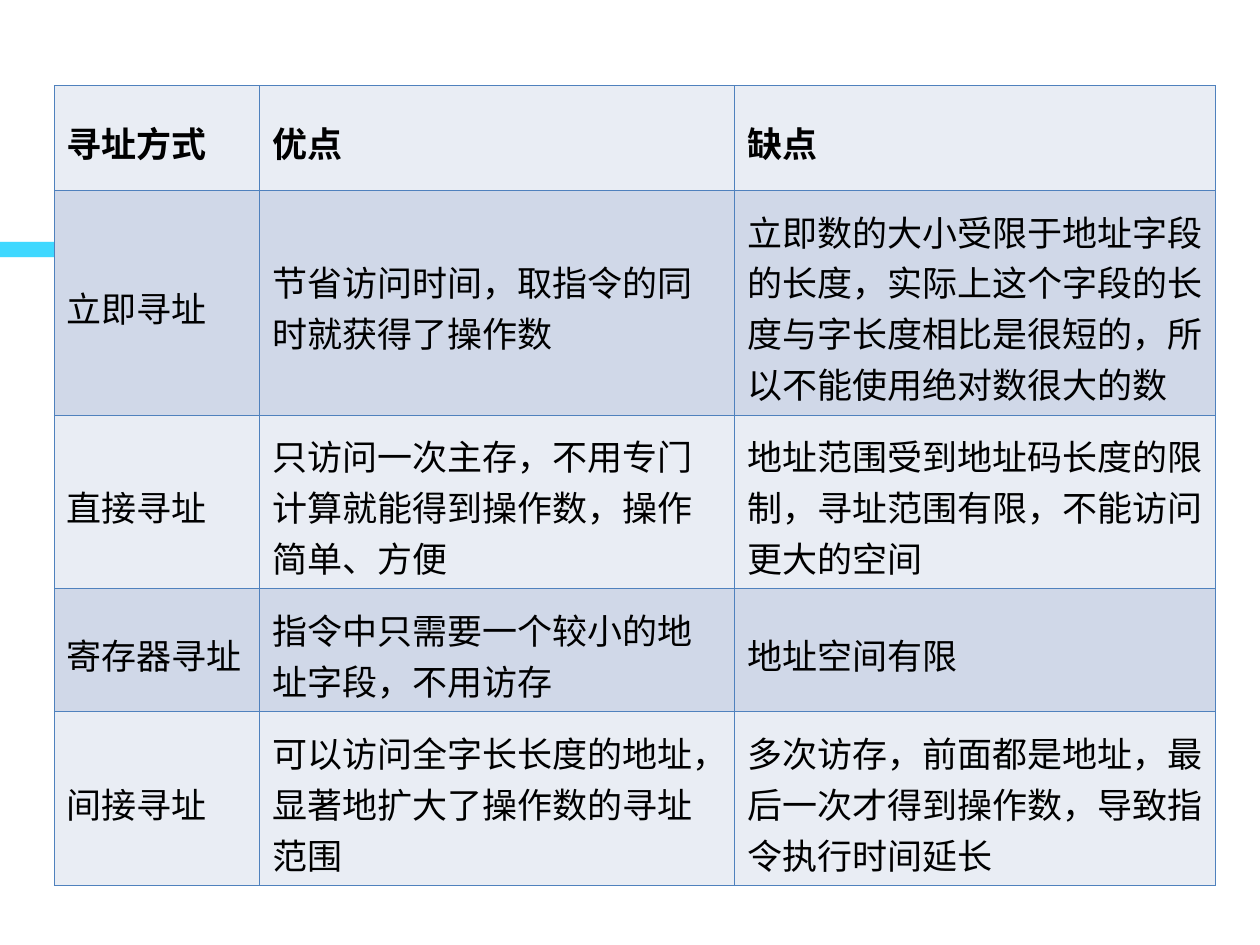
import dataclasses

import lxml.etree
import pptx
import pptx.dml.color
import pptx.enum.shapes
import pptx.enum.text
import pptx.oxml.ns
import pptx.util

Inches = pptx.util.Inches
qn = pptx.oxml.ns.qn


@dataclasses.dataclass(frozen=True)
class Theme:
    font: str = "Calibri"
    text_size: float = 20
    text: str = "000000"
    accent: str = "00CCFF"
    accent_opacity: int = 50
    bands: tuple = ("E9EDF4", "D0D8E8")
    border: str = "4F81BD"
    border_width: float = 0.45


THEME = Theme()

COLUMN_WIDTHS = (1.63, 3.77, 3.82)
ROW_HEIGHTS = (0.83, 1.77, 1.36, 0.95, 1.36)
ADDRESSING_MODES = (
    ("寻址方式", "优点", "缺点"),
    ("立即寻址", "节省访问时间，取指令的同时就获得了操作数",
     "立即数的大小受限于地址字段的长度，实际上这个字段的长度与字长度相比是很短的，所以不能使用绝对数很大的数"),
    ("直接寻址", "只访问一次主存，不用专门计算就能得到操作数，操作简单、方便",
     "地址范围受到地址码长度的限制，寻址范围有限，不能访问更大的空间"),
    ("寄存器寻址", "指令中只需要一个较小的地址字段，不用访存", "地址空间有限"),
    ("间接寻址", "可以访问全字长长度的地址，显著地扩大了操作数的寻址范围",
     "多次访存，前面都是地址，最后一次才得到操作数，导致指令执行时间延长"),
)


def rgb(value):
    return pptx.dml.color.RGBColor.from_string(value)


def add_accent_bar(page):
    bar = page.shapes.add_shape(
        pptx.enum.shapes.MSO_SHAPE.RECTANGLE,
        Inches(0), Inches(1.92), Inches(3.42), Inches(0.12))
    bar.shadow.inherit = False
    bar.line.fill.background()
    bar.fill.solid()
    bar.fill.fore_color.rgb = rgb(THEME.accent)
    color = bar._element.spPr.find(qn("a:solidFill")).find(qn("a:srgbClr"))
    lxml.etree.SubElement(color, qn("a:alpha"), val=str(THEME.accent_opacity * 1000))


def set_borders(cell):
    properties = cell._tc.get_or_add_tcPr()
    width = str(pptx.util.Pt(THEME.border_width))
    # Border lines must come before the cell fill
    for position, side in enumerate(("a:lnL", "a:lnR", "a:lnT", "a:lnB")):
        line = lxml.etree.Element(qn(side), w=width)
        fill = lxml.etree.SubElement(line, qn("a:solidFill"))
        lxml.etree.SubElement(fill, qn("a:srgbClr"), val=THEME.border)
        properties.insert(position, line)


def fill_cell(cell, text, band, bold):
    cell.fill.solid()
    cell.fill.fore_color.rgb = rgb(band)
    set_borders(cell)
    cell.vertical_anchor = pptx.enum.text.MSO_ANCHOR.MIDDLE
    cell.margin_left = cell.margin_right = Inches(0.1)
    cell.margin_top, cell.margin_bottom = Inches(0.12), Inches(0.05)
    span = cell.text_frame.paragraphs[0].add_run()
    span.text = text
    span.font.name = THEME.font
    span.font.size = pptx.util.Pt(THEME.text_size)
    span.font.bold = bold
    span.font.color.rgb = rgb(THEME.text)


def add_comparison_table(page):
    table = page.shapes.add_table(
        len(ROW_HEIGHTS), len(COLUMN_WIDTHS), Inches(0.43), Inches(0.68),
        Inches(sum(COLUMN_WIDTHS)), Inches(sum(ROW_HEIGHTS))).table
    for column, width in zip(table.columns, COLUMN_WIDTHS):
        column.width = Inches(width)
    for index, (row, height) in enumerate(zip(table.rows, ROW_HEIGHTS)):
        row.height = Inches(height)
        for cell, text in zip(row.cells, ADDRESSING_MODES[index]):
            fill_cell(cell, text, THEME.bands[index % 2], bold=index == 0)


def main():
    deck = pptx.Presentation()
    deck.slide_width, deck.slide_height = Inches(10), Inches(7.5)
    page = deck.slides.add_slide(deck.slide_layouts[6])

    # Two translucent bars overlap to give a stronger tint
    for _ in range(2):
        add_accent_bar(page)

    # Comparison of the addressing modes
    add_comparison_table(page)
    deck.save("out.pptx")


if __name__ == "__main__":
    main()
